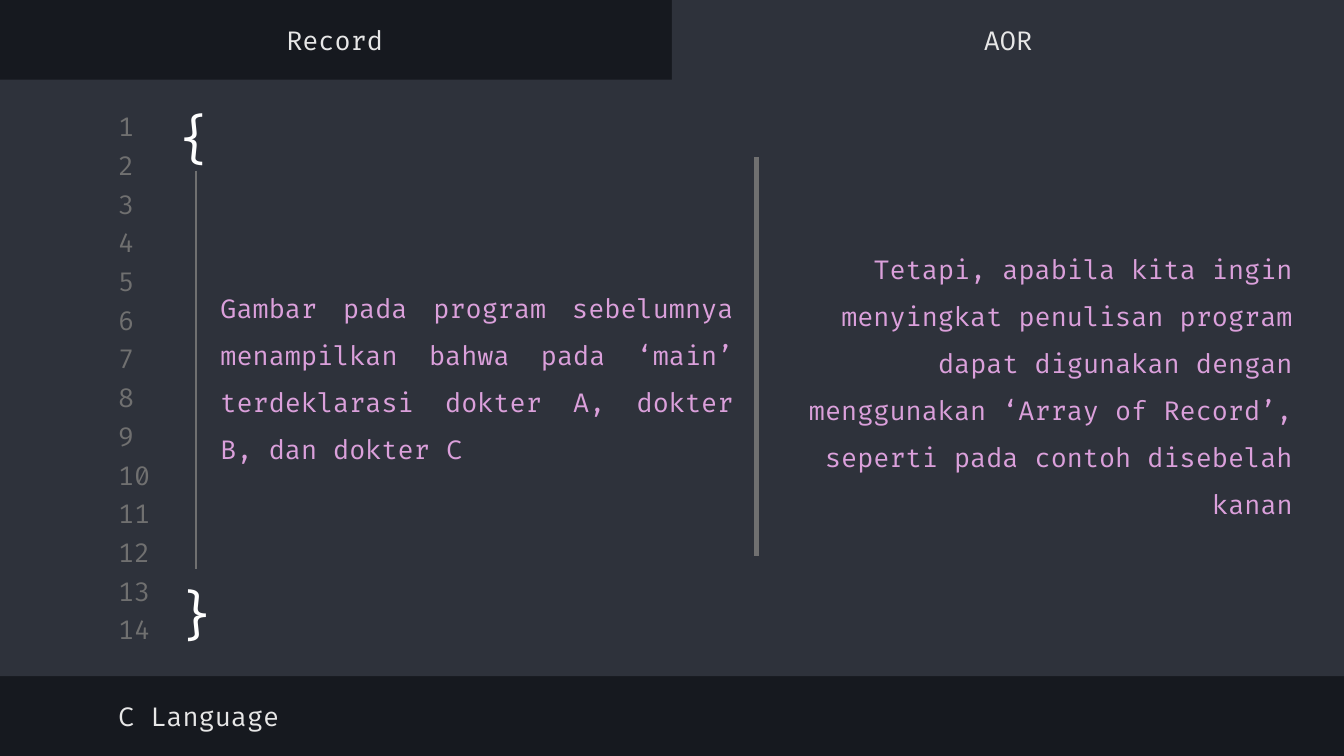
from lxml.etree import SubElement
from pptx import Presentation
from pptx.dml.color import RGBColor
from pptx.enum.shapes import MSO_CONNECTOR, MSO_SHAPE
from pptx.enum.text import MSO_ANCHOR, MSO_AUTO_SIZE, PP_ALIGN
from pptx.oxml.ns import qn
from pptx.util import Pt

COLORS = {
    "back": "16191F",
    "panel": "2E323B",
    "muted": "707070",
    "brace": "FFFFFF",
    "label": "E7E7E7",
    "code": "DBA0DB",
}


def apply(item, **values):
    for name, value in values.items():
        setattr(item, name, value)


class Editor:
    font = "Fira Code"

    def __init__(self, slide):
        self.slide = slide
        self.shapes = slide.shapes
        self.holders = {h.placeholder_format.idx: h for h in slide.placeholders}

    def color(self, name):
        return RGBColor.from_string(COLORS[name])

    def back(self, color):
        fill = self.slide.background.fill
        fill.solid()
        fill.fore_color.rgb = self.color(color)

    def panel(self, *box):
        shape = self.shapes.add_shape(MSO_SHAPE.RECTANGLE, *map(Pt, box))
        shape.shadow.inherit = False
        shape.fill.solid()
        shape.fill.fore_color.rgb = self.color("panel")
        shape.line.fill.background()

    def rule(self, x, top, end, width):
        line = self.shapes.add_connector(
            MSO_CONNECTOR.STRAIGHT, Pt(x), Pt(top), Pt(x), Pt(end))
        line.line.color.rgb = self.color("muted")
        line.line.width = Pt(width)
        SubElement(line._element.spPr, qn("a:effectLst"))

    def text(self, words, box, color, size=14, align=PP_ALIGN.LEFT,
             anchor=MSO_ANCHOR.MIDDLE, space=1.0, pad=7.2, holder=None):
        left, top, width, height = map(Pt, box)
        if holder is None:
            shape = self.shapes.add_textbox(left, top, width, height)
        else:
            shape = self.holders[holder]
            apply(shape, left=left, top=top, width=width, height=height)
            # Bring the placeholder in front of the panels
            shape.element.getparent().append(shape.element)
        frame = shape.text_frame
        apply(frame, word_wrap=True, auto_size=MSO_AUTO_SIZE.NONE,
              vertical_anchor=anchor, margin_left=Pt(7.2),
              margin_right=Pt(7.2), margin_top=Pt(pad), margin_bottom=Pt(pad))
        para = frame.paragraphs[0]
        apply(para, alignment=align, line_spacing=space,
              space_before=Pt(0), space_after=Pt(0))
        props = para._p.get_or_add_pPr()
        for name in ("marL", "indent"):
            props.set(name, "0")
        SubElement(props, qn("a:buNone"))
        run = para.add_run()
        run.text = words
        apply(run.font, name=self.font, size=Pt(size), bold=False)
        run.font.color.rgb = self.color(color)


def main():
    deck = Presentation()
    apply(deck, slide_width=Pt(720), slide_height=Pt(405))
    # The Comparison layout: a title, two headings and two bodies
    page = Editor(deck.slides.add_slide(deck.slide_layouts[4]))

    # Editor window with its active tab
    page.back("back")
    page.panel(0, 42.6, 720, 319.6)
    page.panel(360, 0, 360, 46.8)

    # Line numbers
    for row in range(14):
        page.text(str(row + 1), (56.2, 59 + 20.74 * row, 33.8, 17.3), "muted")

    # Braces and their guide
    page.text("{", (88.6, 47.5, 37.4, 52.6), "brace", size=28, holder=0)
    page.text("}", (85.7, 304.6, 39.6, 82), "brace", size=28,
              align=PP_ALIGN.CENTER, anchor=MSO_ANCHOR.TOP)
    page.rule(105.1, 91.4, 304.6, 0.75)

    # Tab names and status bar
    for name, left, holder in (("Record", -0.7, 1), ("AOR", 360, 3)):
        page.text(name, (left, 7.2, 360, 28.1), "label",
                  align=PP_ALIGN.CENTER, holder=holder)
    page.text("C Language", (56.2, 369.4, 383, 28.1), "label")

    # Two paragraphs and the divider
    body = {"color": "code", "anchor": MSO_ANCHOR.TOP, "space": 1.5, "pad": 3.6}
    page.text("Gambar pada program sebelumnya menampilkan bahwa pada ‘main’ "
              "terdeklarasi dokter A, dokter B, dan dokter C",
              (110.9, 144.7, 289.4, 106.6), align=PP_ALIGN.JUSTIFY,
              holder=2, **body)
    page.text("Tetapi, apabila kita ingin menyingkat penulisan program dapat "
              "digunakan dengan menggunakan ‘Array of Record’, seperti pada "
              "contoh disebelah kanan",
              (410.4, 123.8, 289.4, 157.7), align=PP_ALIGN.RIGHT,
              holder=4, **body)
    page.rule(405.2, 84.2, 298.1, 3)

    # Footer placeholders are not copied from the layout, so none stay empty
    deck.save("out.pptx")


if __name__ == "__main__":
    main()
